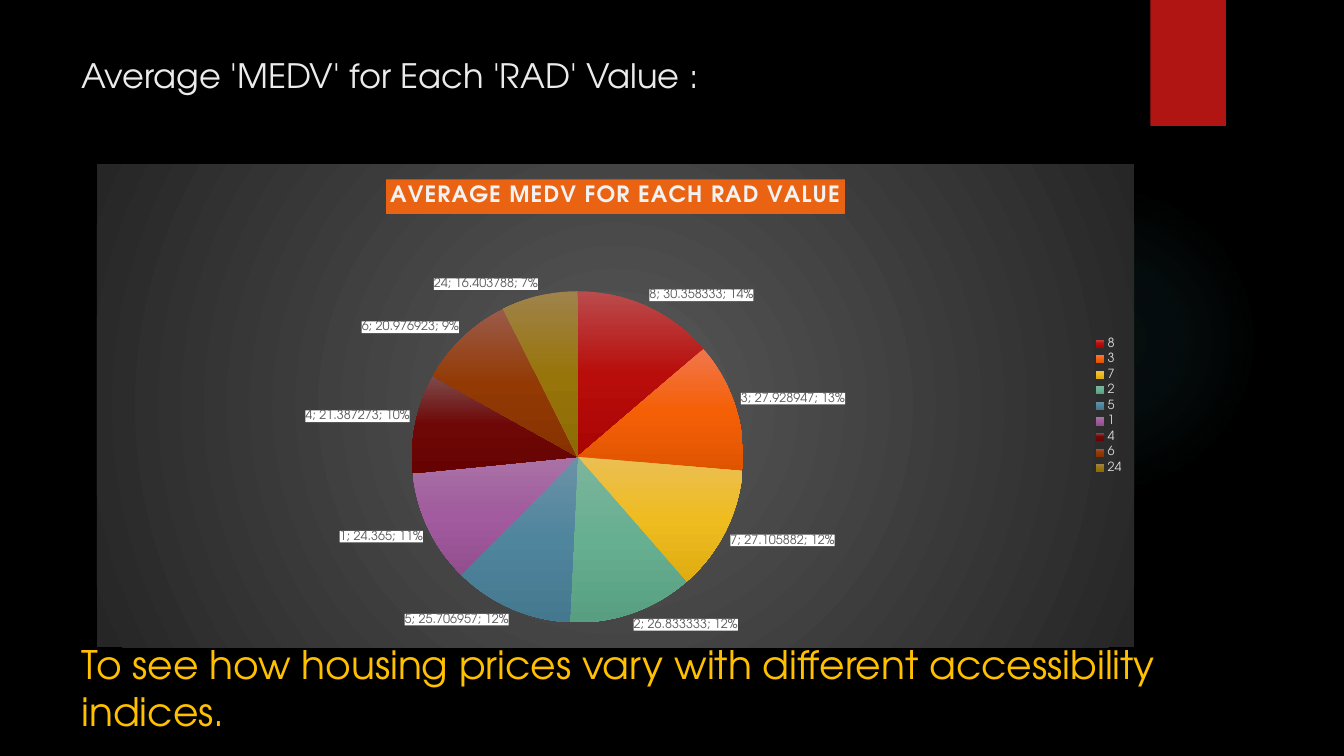
from lxml.etree import SubElement
from pptx import Presentation
from pptx.chart.data import CategoryChartData as Data
from pptx.dml.color import RGBColor as RGB
from pptx.enum.chart import XL_CHART_TYPE as Kind, XL_LABEL_POSITION as Spot, XL_LEGEND_POSITION as Side
from pptx.enum.shapes import MSO_SHAPE as Shape
from pptx.oxml import parse_xml
from pptx.oxml.ns import nsdecls, qn
from pptx.util import Inches, Pt

FONT = "TeX Gyre Adventor"
BLACK = RGB(0x00, 0x00, 0x00)
WHITE = RGB(0xFF, 0xFF, 0xFF)
SNOW = RGB(0xF2, 0xF2, 0xF2)
PALE = RGB(0xEB, 0xEB, 0xEB)
LIGHT = RGB(0xD9, 0xD9, 0xD9)
GREY = RGB(0x59, 0x59, 0x59)
DARK = RGB(0x26, 0x26, 0x26)
RED = RGB(0xB0, 0x15, 0x13)
GOLD = RGB(0xFF, 0xC0, 0x00)
ORANGE = RGB(0xEA, 0x63, 0x12)
TEAL = RGB(0x50, 0xB9, 0xC1)

SLICES = [
    ("8", 30.358333, "BB4C4C", "B80D0B", "AA0503"),
    ("3", 27.928947, "F1764C", "F56007", "E05400"),
    ("7", 27.105882, "EBBF53", "EFBC20", "DFAC11"),
    ("2", 26.833333, "7CB59C", "67AF91", "589F81"),
    ("5", 25.706957, "6B92A6", "50859E", "44788F"),
    ("1", 24.365, "A972A6", "A15B9E", "924E8F"),
    ("4", 21.387273, "7D4B4B", "6E0807", "660302"),
    ("6", 20.976923, "9B5B4B", "933A04", "863200"),
    ("24", 16.403788, "9F834C", "98750B", "8D6B04"),
]


def blend(stops, round=False):
    marks = "".join(
        f'<a:gs pos="{pos * 1000}"><a:srgbClr val="{tint}">'
        f'<a:alpha val="{alpha * 1000}"/></a:srgbClr></a:gs>'
        for pos, tint, alpha in stops)
    way = '<a:lin ang="5400000" scaled="0"/>'
    if round:
        way = ('<a:path path="circle"><a:fillToRect l="50000" t="50000" '
               'r="50000" b="50000"/></a:path>')
    return parse_xml(f'<a:gradFill {nsdecls("a")} rotWithShape="1">'
                     f'<a:gsLst>{marks}</a:gsLst>{way}</a:gradFill>')


def style(font, size, color):
    font.name = FONT
    font.size = Pt(size)
    font.color.rgb = color


deck = Presentation()
deck.slide_width = Inches(13.33)
deck.slide_height = Inches(7.5)
slide = deck.slides.add_slide(deck.slide_layouts[6])
slide.background.fill.solid()
slide.background.fill.fore_color.rgb = BLACK
shapes = slide.shapes

glow = shapes.add_shape(Shape.OVAL, Inches(9.41), Inches(1.83), Inches(3.08), Inches(3.08))
glow.shadow.inherit = False
glow.line.fill.background()
fade = blend([(0, TEAL, 7), (36, TEAL, 6), (69, TEAL, 0)], True)
glow._element.spPr.find(qn("a:prstGeom")).addnext(fade)

flag = shapes.add_shape(Shape.RECTANGLE, Inches(11.41), 0, Inches(0.75), Inches(1.25))
flag.shadow.inherit = False
flag.fill.solid()
flag.fill.fore_color.rgb = RED
flag.line.fill.background()

data = Data()
data.categories = [part[0] for part in SLICES]
data.add_series("Series 1", [part[1] for part in SLICES])
chart = shapes.add_chart(Kind.PIE, Inches(0.96), Inches(1.63), Inches(10.29), Inches(4.79), data).chart
style(chart.font, 10, WHITE)

chart.has_title = True
title = chart.chart_title
title.include_in_layout = False
title.format.fill.solid()
title.format.fill.fore_color.rgb = ORANGE
head = title.text_frame.paragraphs[0]
head.text = "AVERAGE MEDV FOR EACH RAD VALUE"
style(head.font, 16, SNOW)
head.font.bold = True
head.runs[0].font._element.set("spc", "100")

chart.has_legend = True
chart.legend.position = Side.RIGHT
chart.legend.include_in_layout = False
style(chart.legend.font, 9, LIGHT)

plot = chart.plots[0]
plot.vary_by_categories = True
pie = plot.series[0]
for spot in range(len(SLICES)):
    pie.points[spot].format.line.fill.background()
for props, part in zip(pie._element.findall(qn("c:dPt") + "/" + qn("c:spPr")), SLICES):
    props.insert(0, blend([(pos, tint, 100) for pos, tint in zip((0, 50, 100), part[2:])]))

labels = pie.data_labels
labels.show_value = True
labels.show_percentage = True
labels.show_category_name = True
labels.show_series_name = False
labels.show_legend_key = False
labels.position = Spot.OUTSIDE_END
style(labels.font, 9, GREY)
tags = labels._element
tags.find(qn("c:txPr")).addprevious(parse_xml(
    f'<c:spPr {nsdecls("c", "a")}><a:solidFill><a:srgbClr val="{WHITE}"/></a:solidFill></c:spPr>'))
gap = parse_xml(f'<c:separator {nsdecls("c")}>; </c:separator>')
tags.find(qn("c:showPercent")).addnext(gap)
bubble = tags.find(qn("c:showBubbleSize"))
if bubble is not None:
    bubble.addnext(gap)

area = chart._chartSpace.chart.plotArea
for old in area.findall(qn("c:layout")):
    area.remove(old)
layout = parse_xml(f'<c:layout {nsdecls("c")}><c:manualLayout/></c:layout>')
for tag, val in [("layoutTarget", "inner"), ("xMode", "edge"), ("yMode", "edge"),
                 ("x", "0.04"), ("y", "0.263"), ("w", "0.847"), ("h", "0.686")]:
    SubElement(layout[0], qn("c:" + tag)).set("val", val)
area.insert(0, layout)

back = parse_xml(f'<c:spPr {nsdecls("c", "a")}><a:ln><a:noFill/></a:ln></c:spPr>')
back.insert(0, blend([(0, GREY, 100), (100, DARK, 100)], True))
chart._chartSpace.chart.addnext(back)

for words, top, width, height, size, color in [
    ("Average 'MEDV' for Each 'RAD' Value :", 0.5, 10.29, 0.82, 24, PALE),
    ("To see how housing prices vary with different accessibility indices.",
     6.3, 11.36, 1.04, 28, GOLD),
]:
    box = shapes.add_textbox(Inches(0.71), Inches(top), Inches(width), Inches(height))
    box.text_frame.word_wrap = True
    line = box.text_frame.paragraphs[0]
    line.text = words
    style(line.font, size, color)

deck.save("out.pptx")
